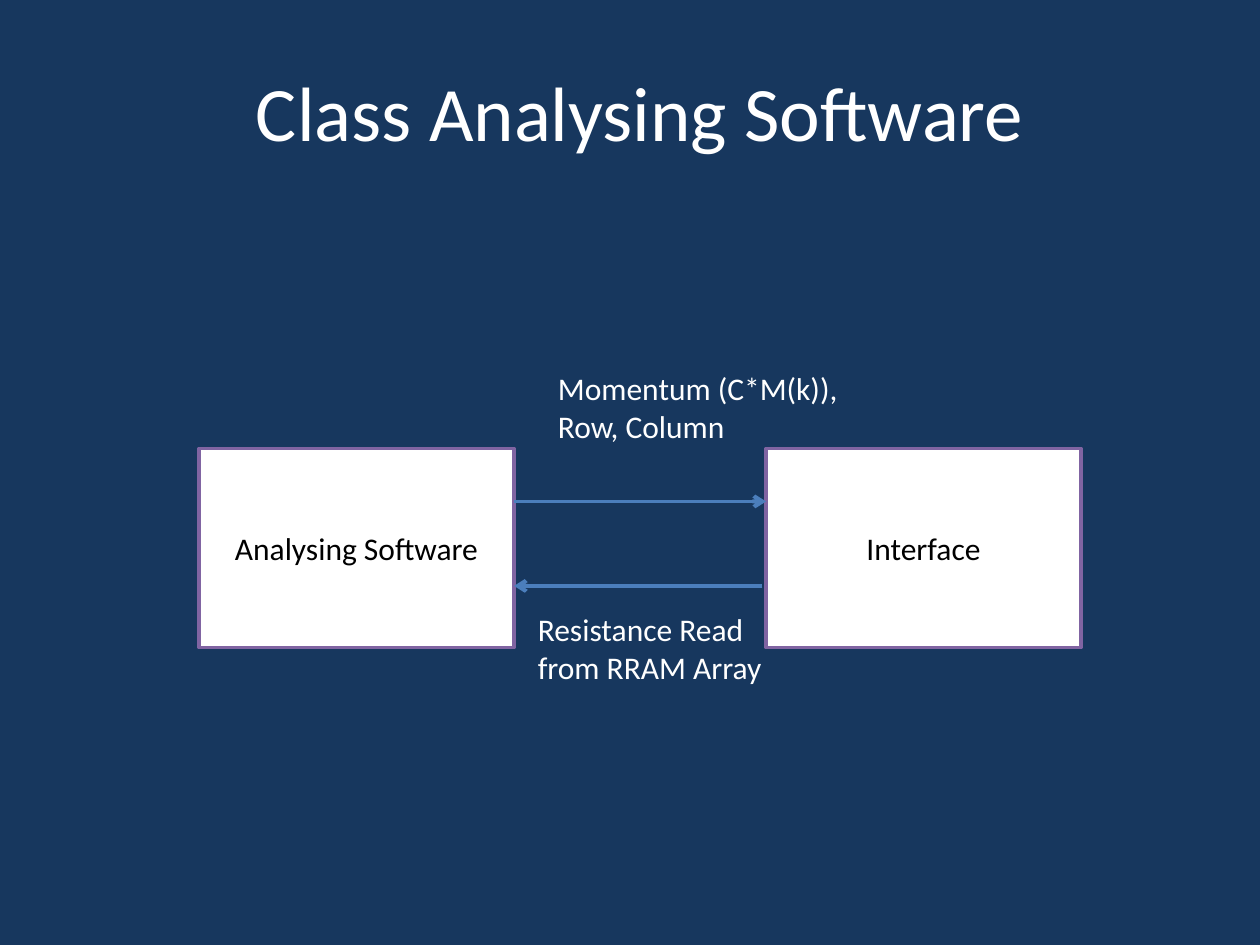
from lxml.etree import SubElement
from pptx import Presentation
from pptx.dml.color import RGBColor
from pptx.enum.shapes import MSO_CONNECTOR as CONN, MSO_SHAPE as SHAPE
from pptx.enum.text import MSO_ANCHOR as ANCHOR, MSO_AUTO_SIZE as AUTO, PP_ALIGN as ALIGN
from pptx.oxml.ns import qn
from pptx.util import Inches, Pt


def rgb(value):
    return RGBColor.from_string(value)


class Diagram:
    """Holds the style and the slide, and adds each kind of element."""

    font, body_size, title_size = "Calibri", 18, 44
    back, light, dark = "17375E", "FFFFFF", "000000"
    border, arrow_color = "8064A2", "4B7EBC"

    def __init__(self, prs):
        self.s = prs.slides.add_slide(prs.slide_layouts[5])
        fill = self.s.background.fill
        fill.solid()
        fill.fore_color.rgb = rgb(self.back)

    def add_text(self, tf, lines, size, color, align):
        tf.word_wrap = True
        for i, line in enumerate(lines):
            p = tf.add_paragraph() if i else tf.paragraphs[0]
            p.alignment = align
            r = p.add_run()
            r.text = line
            r.font.name = self.font
            r.font.size = Pt(size)
            r.font.color.rgb = rgb(color)

    def title(self, text, x, y, w, h):
        sp = self.s.shapes.title
        sp.left, sp.top, sp.width, sp.height = map(Inches, (x, y, w, h))
        sp.text_frame.vertical_anchor = ANCHOR.MIDDLE
        self.add_text(sp.text_frame, [text], self.title_size, self.light, ALIGN.CENTER)

    def box(self, text, x, y, w, h):
        sp = self.s.shapes.add_shape(SHAPE.RECTANGLE, *map(Inches, (x, y, w, h)))
        sp.shadow.inherit = False
        sp.fill.solid()
        sp.fill.fore_color.rgb = rgb(self.light)
        sp.line.color.rgb = rgb(self.border)
        sp.line.width = Pt(2)
        sp.text_frame.vertical_anchor = ANCHOR.MIDDLE
        self.add_text(sp.text_frame, [text], self.body_size, self.dark, ALIGN.CENTER)

    def label(self, lines, x, y, w, h):
        sp = self.s.shapes.add_textbox(*map(Inches, (x, y, w, h)))
        self.add_text(sp.text_frame, lines, self.body_size, self.light, ALIGN.LEFT)
        sp.text_frame.auto_size = AUTO.SHAPE_TO_FIT_TEXT

    def arrow(self, x1, x2, y):
        c = self.s.shapes.add_connector(CONN.STRAIGHT, *map(Inches, (x1, y, x2, y)))
        c.line.color.rgb = rgb(self.arrow_color)
        c.line.width = Pt(2.25)
        spPr = c._element.spPr
        SubElement(spPr.find(qn("a:ln")), qn("a:tailEnd"), type="arrow")
        SubElement(spPr, qn("a:effectLst"))


def main():
    prs = Presentation()
    prs.slide_width, prs.slide_height = Inches(10), Inches(7.5)
    d = Diagram(prs)
    left, right, top, w, h = 1.58, 6.08, 3.56, 2.5, 1.58
    d.title("Class Analysing Software", 0.58, 0.25, 9, 1.25)
    d.box("Analysing Software", left, top, w, h)
    d.box("Interface", right, top, w, h)
    d.arrow(left + w, right, 3.98)
    d.label(["Momentum (C*M(k)),", "Row, Column"], 4.33, 2.88, 2.67, 0.71)
    d.arrow(6.05, left + w, 4.65)
    d.label(["Resistance Read from RRAM Array"], 4.17, 4.79, 2.25, 0.71)
    prs.save("out.pptx")


if __name__ == "__main__":
    main()
